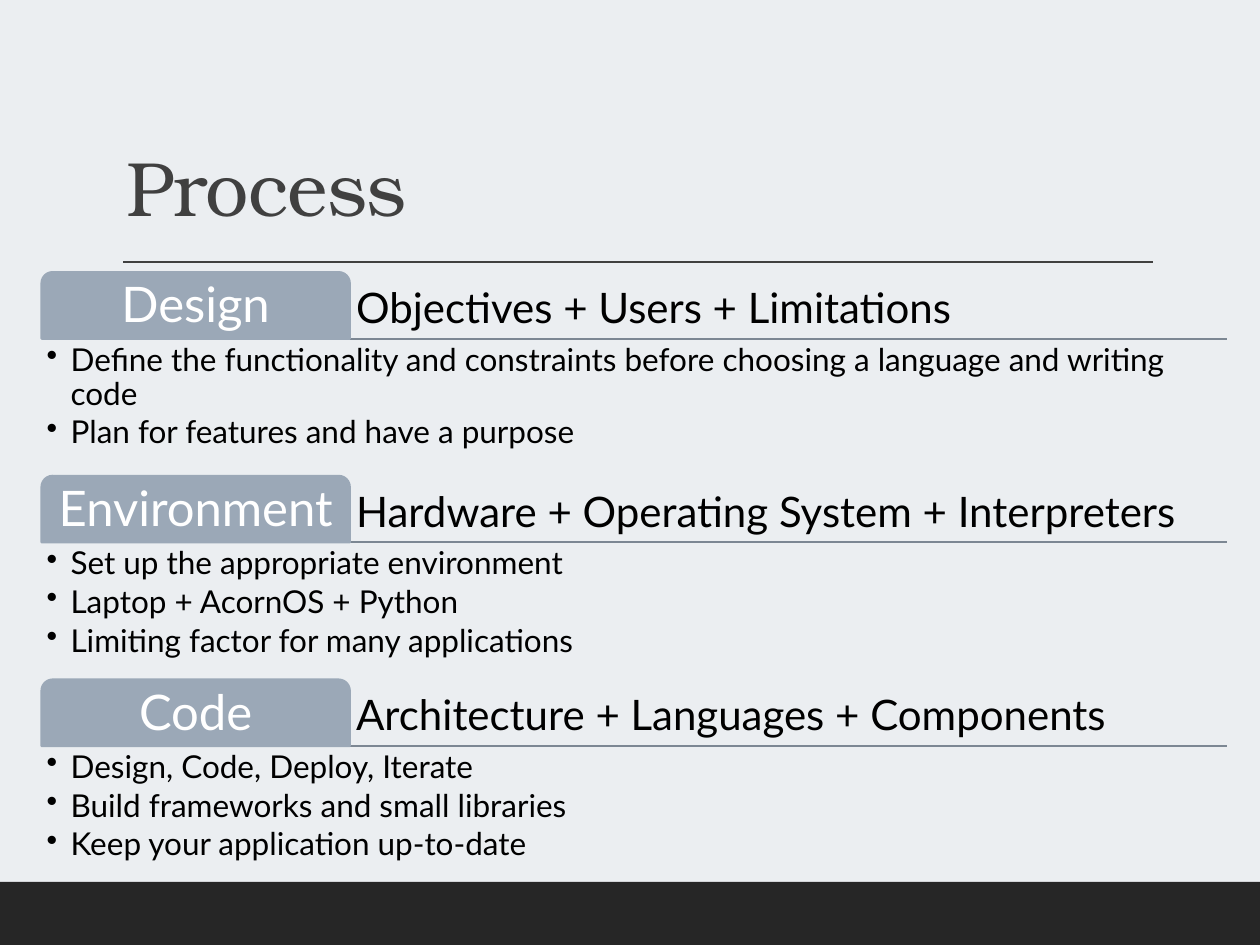
import pptx
import pptx.util
from pptx.dml.color import RGBColor
from pptx.enum.dml import MSO_THEME_COLOR
from pptx.enum.shapes import MSO_CONNECTOR, MSO_SHAPE
from pptx.enum.text import MSO_ANCHOR, MSO_AUTO_SIZE, PP_ALIGN
from pptx.oxml.xmlchemy import OxmlElement

BACKGROUND = RGBColor(0xEB, 0xEE, 0xF1)
FOOTER = RGBColor(0x26, 0x26, 0x26)
TITLE = RGBColor(0x40, 0x40, 0x40)
TAB = RGBColor(0x9B, 0xA8, 0xB7)
RULE = RGBColor(0x7C, 0x87, 0x93)
BLACK = RGBColor(0, 0, 0)
WHITE = RGBColor(0xFF, 0xFF, 0xFF)

BODY_FONT = "Lato"
TITLE_FONT = "TeX Gyre Bonum"
INCH = pptx.util.Inches(1)

TAB_SHARE = 0.26       # tab width as a share of its section
HEADER_SHARE = 1 / 3   # header height as a share of its section
INDENT = 0.19

SECTIONS = [
    ("Design", "Objectives + Users + Limitations", [
        "Define the functionality and constraints before choosing a language and writing code",
        "Plan for features and have a purpose"]),
    ("Environment", "Hardware + Operating System + Interpreters", [
        "Set up the appropriate environment",
        "Laptop + AcornOS + Python",
        "Limiting factor for many applications"]),
    ("Code", "Architecture + Languages + Components", [
        "Design, Code, Deploy, Iterate",
        "Build frameworks and small libraries",
        "Keep your application up-to-date"]),
]


def emu(*lengths):
    return [round(length * INCH) for length in lengths]


def prepare_frame(shape, inset, anchor):
    frame = shape.text_frame
    frame.word_wrap = True
    frame.auto_size = MSO_AUTO_SIZE.NONE
    frame.vertical_anchor = anchor
    frame.margin_left = frame.margin_right = pptx.util.Inches(inset)
    frame.margin_top = frame.margin_bottom = pptx.util.Inches(inset)
    return frame


def write(paragraph, text, size, color, font=BODY_FONT, align=PP_ALIGN.LEFT, after=0):
    paragraph.alignment = align
    paragraph.line_spacing = 0.9
    paragraph.space_before = pptx.util.Pt(0)
    paragraph.space_after = pptx.util.Pt(after)
    run = paragraph.add_run()
    run.text = text
    run.font.size = pptx.util.Pt(size)
    run.font.name = font
    run.font.color.rgb = color
    return run


def add_bullet(paragraph):
    properties = paragraph._p.get_or_add_pPr()
    properties.set("marL", str(round(INDENT * INCH)))
    properties.set("indent", str(round(-INDENT * INCH)))
    bullet = OxmlElement("a:buChar")
    bullet.set("char", "•")
    properties.append(bullet)


def add_rule(slide, left, right, top, color, width):
    rule = slide.shapes.add_connector(
        MSO_CONNECTOR.STRAIGHT, *emu(left, top, right, top))
    rule.line.color.rgb = color
    rule.line.width = pptx.util.Pt(width)
    rule._element.spPr.append(OxmlElement("a:effectLst"))


def add_footer(slide, left, top, width, height):
    bar = slide.shapes.add_shape(MSO_SHAPE.RECTANGLE, *emu(left, top, width, height))
    bar.shadow.inherit = False
    bar.fill.solid()
    bar.fill.fore_color.rgb = FOOTER
    bar.line.fill.background()


def add_title(slide, text, left, top, width, height):
    title = slide.shapes.title
    title.left, title.top, title.width, title.height = emu(left, top, width, height)
    frame = title.text_frame
    frame.auto_size = MSO_AUTO_SIZE.NONE
    frame.vertical_anchor = MSO_ANCHOR.BOTTOM
    run = write(frame.paragraphs[0], text, 44, TITLE, TITLE_FONT)
    run.font._element.set("spc", "-40")
    add_rule(slide, left + 0.08, left + width, top + height + 0.18, TITLE, 1)


def add_section(slide, section, left, top, width, height):
    label, heading, points = section
    tab_width = width * TAB_SHARE
    header = height * HEADER_SHARE
    add_rule(slide, left, left + width, top + header, RULE, 1.25)

    # Heading beside the tab
    box = slide.shapes.add_textbox(*emu(left + tab_width, top, width - tab_width, header))
    frame = prepare_frame(box, 0.05, MSO_ANCHOR.BOTTOM)
    write(frame.paragraphs[0], heading, 24, BLACK)

    # Tab with its label
    tab = slide.shapes.add_shape(
        MSO_SHAPE.ROUND_2_SAME_RECTANGLE, *emu(left, top, tab_width, header))
    tab.shadow.inherit = False
    tab.fill.solid()
    tab.fill.fore_color.rgb = TAB
    tab.line.color.rgb = TAB
    tab.line.width = pptx.util.Pt(1.25)
    frame = prepare_frame(tab, 0.06, MSO_ANCHOR.MIDDLE)
    write(frame.paragraphs[0], label, 28, WHITE, align=PP_ALIGN.CENTER)

    # Bullet points under the rule
    body = slide.shapes.add_textbox(*emu(left, top + header, width, height - header))
    frame = prepare_frame(body, 0.04, MSO_ANCHOR.TOP)
    for index, point in enumerate(points):
        paragraph = frame.add_paragraph() if index else frame.paragraphs[0]
        paragraph.level = 1
        write(paragraph, point, 18, BLACK, after=2.7)
        add_bullet(paragraph)


def add_sections(slide, left, top, width, height):
    row = height / len(SECTIONS)
    for index, section in enumerate(SECTIONS):
        add_section(slide, section, left, top + index * row, width, row * 0.98)


def main():
    presentation = pptx.Presentation()
    presentation.slide_width = pptx.util.Inches(10)
    presentation.slide_height = pptx.util.Inches(7.5)
    slide = presentation.slides.add_slide(presentation.slide_layouts.get_by_name("Title Only"))
    slide.background.fill.solid()
    slide.background.fill.fore_color.rgb = BACKGROUND

    add_footer(slide, 0, 7, 10, 0.5)
    add_title(slide, "Process", 0.9, 0.31, 8.25, 1.59)
    add_sections(slide, 0.33, 2.16, 9.41, 4.85)
    presentation.save("out.pptx")


if __name__ == "__main__":
    main()
